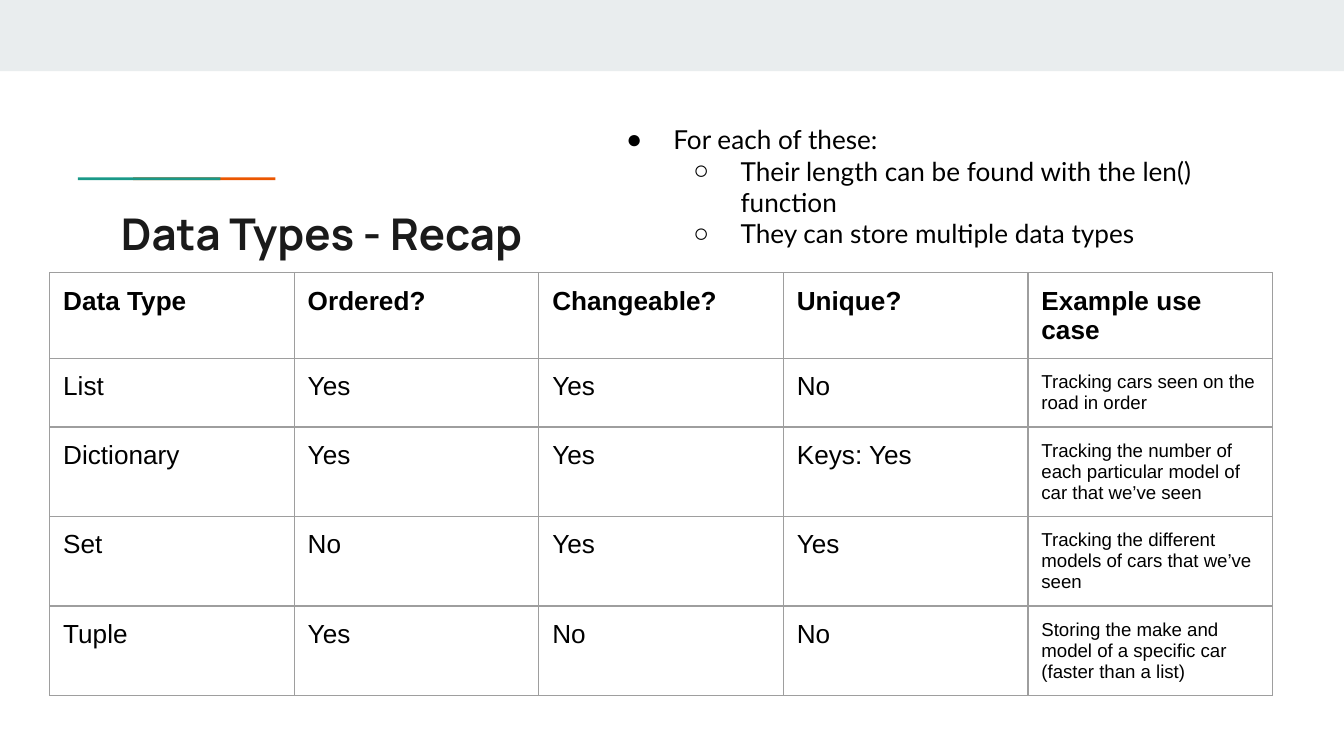
from dataclasses import dataclass

from lxml import etree
from pptx import Presentation
from pptx import util as u
from pptx.dml.color import RGBColor
from pptx.enum import shapes, text
from pptx.oxml import ns


@dataclass(frozen=True)
class Theme:
    band: str = "E9EDEE"
    green: str = "1A9988"
    orange: str = "EB5600"
    title: str = "1A1A1A"
    ink: str = "000000"
    border: str = "9E9E9E"
    title_font: str = "Manrope"
    body_font: str = "Lato"
    table_font: str = "Arial"
    marker_font: str = "Arial"
    title_size: float = 23.4
    body_size: float = 14
    small_size: float = 10
    border_width: float = 0.75


@dataclass(frozen=True)
class Box:
    left: float
    top: float
    width: float
    height: float

    def lengths(self) -> list:
        return [u.Inches(v) for v in (self.left, self.top, self.width, self.height)]


@dataclass(frozen=True)
class Bar:
    box: Box
    color: str


@dataclass(frozen=True)
class Bullet:
    text: str
    level: int = 0


T = Theme()
SLIDE_WIDTH = 10
SLIDE_HEIGHT = SLIDE_WIDTH * 9 / 16
MARKERS = "●○"
BARS = [
    Bar(Box(0, 0, SLIDE_WIDTH, 0.53), T.band),
    Bar(Box(0.99, 1.32, 1.06, 0.02), T.orange),
    Bar(Box(0.58, 1.32, 1.06, 0.02), T.green),
]
BULLETS = [
    Bullet("For each of these:"),
    Bullet("Their length can be found with the len() function", 1),
    Bullet("They can store multiple data types", 1),
]
ROWS = [
    ("Data Type", "Ordered?", "Changeable?", "Unique?", "Example use case"),
    ("List", "Yes", "Yes", "No", "Tracking cars seen on the road in order"),
    ("Dictionary", "Yes", "Yes", "Keys: Yes",
     "Tracking the number of each particular model of car that we’ve seen"),
    ("Set", "No", "Yes", "Yes", "Tracking the different models of cars that we’ve seen"),
    ("Tuple", "Yes", "No", "No",
     "Storing the make and model of a specific car (faster than a list)"),
]
ROW_HEIGHTS = [0.55, 0.44, 0.61, 0.58, 0.58]
COL_WIDTH = 1.82


def add_run(p, words: str, font: str, size: float, color: str, bold: bool = False) -> None:
    r = p.add_run()
    r.text = words
    r.font.name = font
    r.font.size = u.Pt(size)
    r.font.bold = bold
    r.font.color.rgb = RGBColor.from_string(color)


def add_bar(s, bar: Bar) -> None:
    sp = s.shapes.add_shape(shapes.MSO_SHAPE.RECTANGLE, *bar.box.lengths())
    sp.shadow.inherit = False
    sp.fill.solid()
    sp.fill.fore_color.rgb = RGBColor.from_string(bar.color)
    sp.line.fill.background()


def place(sp, box: Box):
    """Move a placeholder, reset its frame and return the text frame."""
    sp.left, sp.top, sp.width, sp.height = box.lengths()
    tf = sp.text_frame
    tf.word_wrap = True
    tf.auto_size = text.MSO_AUTO_SIZE.NONE
    tf.vertical_anchor = text.MSO_ANCHOR.TOP
    tf.margin_left = tf.margin_right = tf.margin_top = tf.margin_bottom = u.Inches(0.1)
    return tf


def set_spacing(p) -> None:
    p.alignment = text.PP_ALIGN.LEFT
    p.line_spacing = 1.0
    p.space_before = p.space_after = u.Pt(0)


def set_marker(p, level: int) -> None:
    pPr = p._p.get_or_add_pPr()
    pPr.set("marL", str(u.Inches(0.5 * (level + 1))))
    pPr.set("indent", str(u.Inches(-0.35)))
    color = etree.SubElement(pPr, ns.qn("a:buClr"))
    etree.SubElement(color, ns.qn("a:srgbClr"), val=T.ink)
    etree.SubElement(pPr, ns.qn("a:buFont"), typeface=T.marker_font)
    etree.SubElement(pPr, ns.qn("a:buChar"), char=MARKERS[level])


def add_bullets(tf, bullets: list[Bullet]) -> None:
    for i, bullet in enumerate(bullets):
        p = tf.add_paragraph() if i else tf.paragraphs[0]
        p.level = bullet.level
        set_spacing(p)
        set_marker(p, bullet.level)
        add_run(p, bullet.text, T.body_font, T.body_size, T.ink)


def set_borders(cell) -> None:
    tcPr = cell._tc.get_or_add_tcPr()
    for side in ("lnL", "lnR", "lnT", "lnB"):
        ln = etree.SubElement(tcPr, ns.qn(f"a:{side}"), w=str(u.Pt(T.border_width)))
        fill = etree.SubElement(ln, ns.qn("a:solidFill"))
        etree.SubElement(fill, ns.qn("a:srgbClr"), val=T.border)


def add_recap_table(s, left: float, top: float) -> None:
    n_cols = len(ROWS[0])
    box = Box(left, top, COL_WIDTH * n_cols, sum(ROW_HEIGHTS))
    table = s.shapes.add_table(len(ROWS), n_cols, *box.lengths()).table
    table.first_row = table.horz_banding = False
    for col in table.columns:
        col.width = u.Inches(COL_WIDTH)
    for i, (row, height) in enumerate(zip(ROWS, ROW_HEIGHTS)):
        table.rows[i].height = u.Inches(height)
        for j, words in enumerate(row):
            cell = table.cell(i, j)
            cell.margin_left = cell.margin_right = u.Inches(0.1)
            cell.margin_top = cell.margin_bottom = u.Inches(0.1)
            set_borders(cell)
            cell.fill.background()
            is_example = i > 0 and j == n_cols - 1
            size = T.small_size if is_example else T.body_size
            add_run(cell.text_frame.paragraphs[0], words, T.table_font, size, T.ink, i == 0)


def main() -> None:
    prs = Presentation()
    prs.slide_width, prs.slide_height = u.Inches(SLIDE_WIDTH), u.Inches(SLIDE_HEIGHT)
    s = prs.slides.add_slide(prs.slide_layouts[1])
    for bar in BARS:
        add_bar(s, bar)

    title = place(s.shapes.title, Box(0.8, 1.44, 8.41, 0.59)).paragraphs[0]
    set_spacing(title)
    add_run(title, "Data Types - Recap", T.title_font, T.title_size, T.title, True)

    add_recap_table(s, 0.37, 2.03)
    add_bullets(place(s.placeholders[1], Box(4.41, 0.82, 5.09, 1.14)), BULLETS)
    prs.save("out.pptx")


if __name__ == "__main__":
    main()
